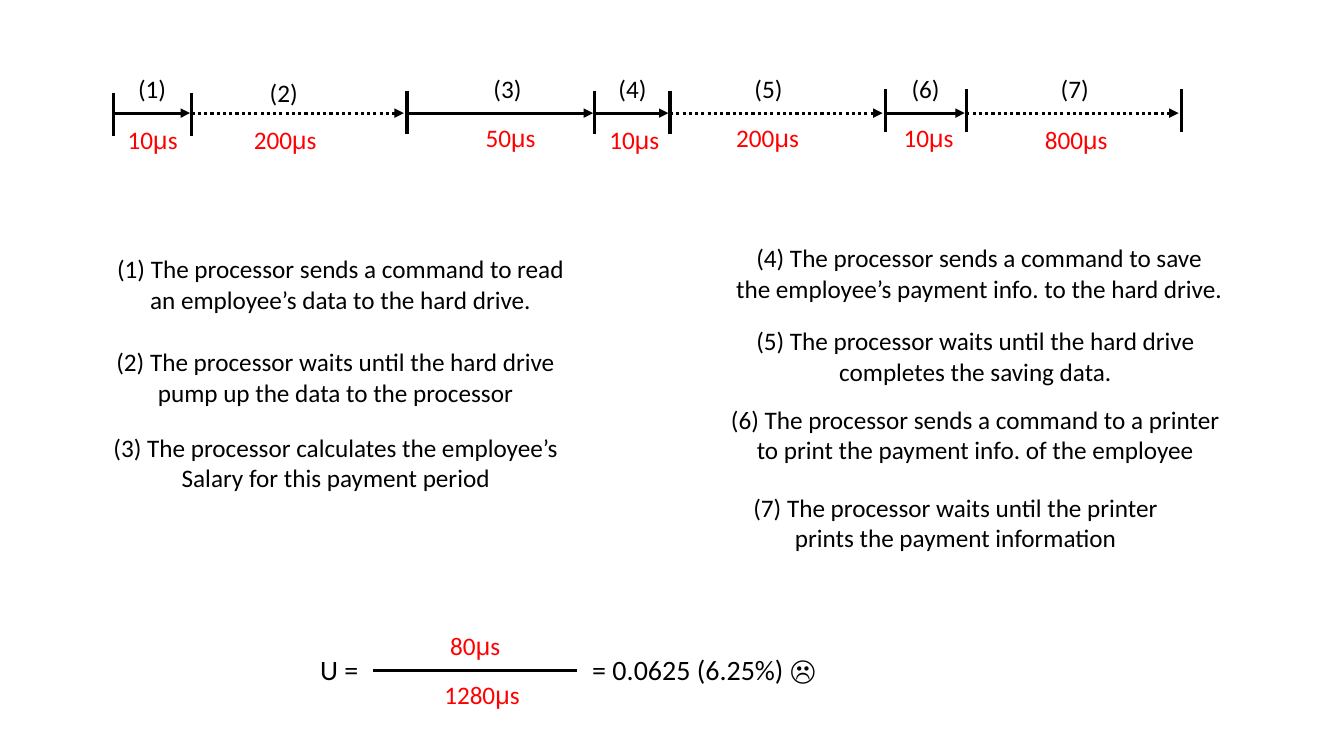
from itertools import groupby
from typing import NamedTuple

from lxml.etree import SubElement
from pptx import Presentation
from pptx.dml.color import RGBColor
from pptx.enum.dml import MSO_LINE
from pptx.enum.shapes import MSO_CONNECTOR
from pptx.enum.text import PP_ALIGN
from pptx.oxml.ns import qn
from pptx.util import Cm, Pt

COLORS = {"text": "000000", "time": "FF0000", "line": "000000"}
SYMBOLS = "μ☹"
LABEL_HEIGHT = 1.02
DURATION_WIDTH = 2.1
TICK_HEIGHT = 1.09
AXIS_Y = 1.12


class Phase(NamedTuple):
    start: float
    tick_top: float
    label_x: float
    label_y: float
    duration: str
    duration_x: float
    duration_y: float
    waiting: bool


class Step(NamedTuple):
    left: float
    top: float
    width: float
    text: str


PHASES = [
    Phase(0, 0.61, 0.36, 0, "10μs", 0.1, 1.29, False),
    Phase(1.96, 0.61, 3.68, 0.1, "200μs", 3.28, 1.29, True),
    Phase(7.39, 0.56, 9.32, 0, "50μs", 9.12, 1.22, False),
    Phase(12.12, 0.56, 12.47, 0, "10μs", 12.24, 1.29, False),
    Phase(14.02, 0.56, 15.9, 0, "200μs", 15.44, 1.22, True),
    Phase(19.46, 0.51, 19.86, 0, "10μs", 19.66, 1.22, False),
    Phase(21.49, 0.51, 23.62, 0, "800μs", 23.22, 1.29, True),
]
READ_STEPS = [
    Step(0.12, 0, 11.79, "(1) The processor sends a command to read\n"
         "an employee’s data to the hard drive."),
    Step(0.1, 2.34, 11.58, "(2) The processor waits until the hard drive\n"
         "pump up the data to the processor"),
    Step(0, 4.5, 11.79, "(3) The processor calculates the employee’s\n"
         "Salary for this payment period"),
]
SAVE_STEPS = [
    Step(0.1, 0, 12.85, "(4) The processor sends a command to save\n"
         "the employee’s payment info. to the hard drive."),
    Step(0.64, 2.09, 11.58, "(5) The processor waits until the hard drive\n"
         "completes the saving data."),
    Step(0, 4.07, 12.85, "(6) The processor sends a command to a printer\n"
         "to print the payment info. of the employee"),
    Step(0.56, 6.28, 10.74, "(7) The processor waits until the printer\n"
         "prints the payment information"),
]


def add_label(slide, x, y, width, height, text, color="text", size=18, align=PP_ALIGN.LEFT):
    frame = slide.shapes.add_textbox(Cm(x), Cm(y), Cm(width), Cm(height)).text_frame
    frame.word_wrap = False
    for index, line in enumerate(text.split("\n")):
        paragraph = frame.add_paragraph() if index else frame.paragraphs[0]
        paragraph.alignment = align
        for is_symbol, letters in groupby(line, lambda letter: letter in SYMBOLS):
            run = paragraph.add_run()
            run.text = "".join(letters)
            run.font.name = "Arial" if is_symbol else "Calibri"
            run.font.size = Pt(size)
            run.font.color.rgb = RGBColor.from_string(COLORS[color])


def add_line(slide, x1, y1, x2, y2, arrow=False, dotted=False):
    connector = slide.shapes.add_connector(
        MSO_CONNECTOR.STRAIGHT, Cm(x1), Cm(y1), Cm(x2), Cm(y2))
    connector.line.color.rgb = RGBColor.from_string(COLORS["line"])
    connector.line.width = Pt(2.25)
    if dotted:
        connector.line.dash_style = MSO_LINE.ROUND_DOT
    properties = connector._element.spPr
    if arrow:
        SubElement(properties.find(qn("a:ln")), qn("a:tailEnd"), type="triangle")
    SubElement(properties, qn("a:effectLst"))


def add_timeline(slide, left, top, width):
    ends = [phase.start for phase in PHASES[1:]] + [width]
    for number, (phase, end) in enumerate(zip(PHASES, ends), start=1):
        tick_x, tick_y = left + phase.start, top + phase.tick_top
        gap = 0.08 if phase.waiting else 0.04
        add_line(slide, tick_x, tick_y, tick_x, tick_y + TICK_HEIGHT)
        add_line(slide, tick_x, top + AXIS_Y, left + end - gap, top + AXIS_Y,
                 arrow=True, dotted=phase.waiting)
        add_label(slide, left + phase.label_x, top + phase.label_y,
                  1.22, LABEL_HEIGHT, f"({number})")
        add_label(slide, left + phase.duration_x, top + phase.duration_y,
                  DURATION_WIDTH, LABEL_HEIGHT, phase.duration, "time")
    last_tick_y = top + PHASES[-1].tick_top
    add_line(slide, left + width, last_tick_y, left + width, last_tick_y + TICK_HEIGHT)


def add_steps(slide, left, top, steps):
    for step in steps:
        add_label(slide, left + step.left, top + step.top, step.width, 1.78,
                  step.text, align=PP_ALIGN.CENTER)


def add_utilization(slide, left, top):
    add_label(slide, left, top + 0.54, 1.47, 1.12, "U =", size=20)
    add_label(slide, left + 3.28, top, DURATION_WIDTH, LABEL_HEIGHT, "80μs", "time")
    add_line(slide, left + 1.58, top + 1.12, left + 6.73, top + 1.12)
    add_label(slide, left + 3.13, top + 1.22, 2.5, LABEL_HEIGHT, "1280μs", "time")
    add_label(slide, left + 6.86, top + 0.54, 6.4, 1.12, "= 0.0625 (6.25%) ☹", size=20)


def main():
    deck = Presentation()
    deck.slide_width, deck.slide_height = Cm(33.88), Cm(19.05)
    slide = deck.slides.add_slide(deck.slide_layouts[6])
    add_timeline(slide, 2.87, 1.73, 26.92)
    add_steps(slide, 2.57, 6.27, READ_STEPS)
    add_steps(slide, 18.16, 5.99, SAVE_STEPS)
    add_utilization(slide, 7.82, 15.77)
    deck.save("out.pptx")


if __name__ == "__main__":
    main()
